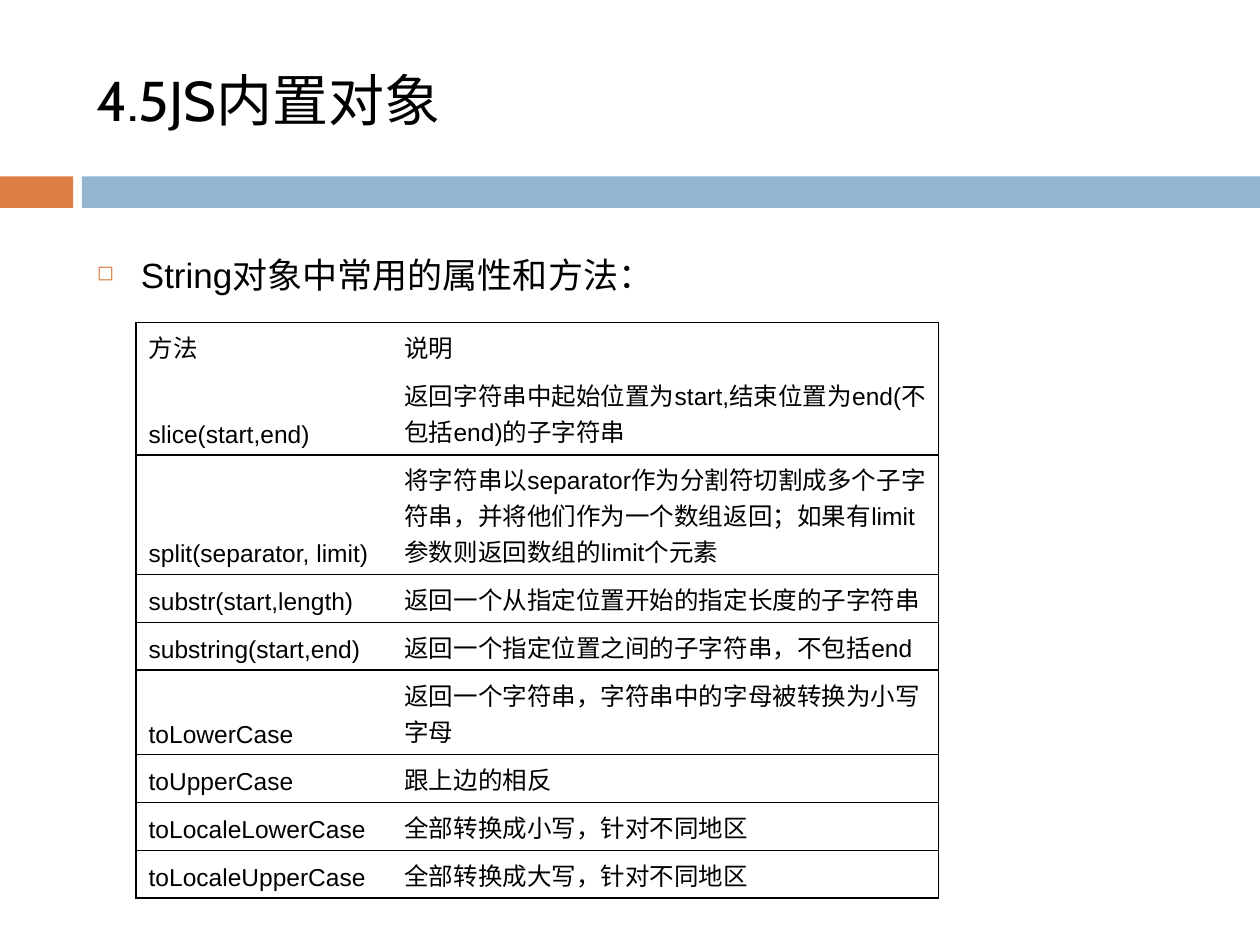
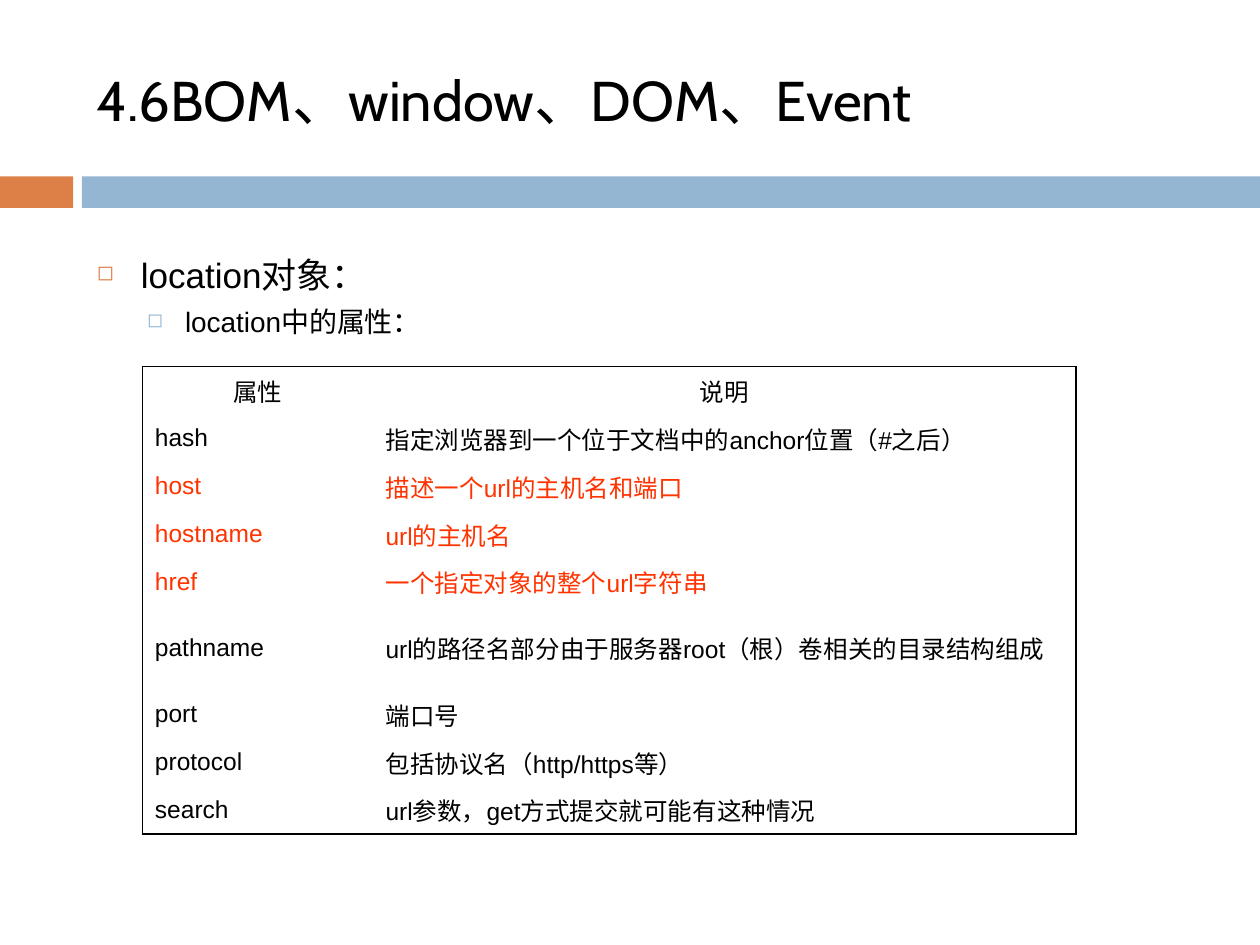
from lxml.etree import SubElement
from pptx import Presentation
from pptx.dml.color import RGBColor
from pptx.enum.shapes import MSO_SHAPE as Shape
from pptx.enum.text import MSO_ANCHOR as Anchor, PP_ALIGN as Align
from pptx.oxml.ns import qn
from pptx.util import Inches, Pt

BLACK = RGBColor(0x00, 0x00, 0x00)
WHITE = RGBColor(0xFF, 0xFF, 0xFF)
ORANGE = RGBColor(0xDD, 0x80, 0x47)
BLUE = RGBColor(0x94, 0xB6, 0xD2)
RED = RGBColor(0xFF, 0x33, 0x00)

TITLE = {"name": "Cabin", "size": Pt(32)}
CELL = {"name": "Arial", "size": Pt(14)}
# One entry per outline level: font, bullet and indents
LEVELS = [
    {"font": {"name": "Arial", "size": Pt(20)}, "before": 0,
     "bullet": ORANGE, "percent": 60, "left": 0.35, "hanging": 0.35},
    {"font": {"name": "Arial", "size": Pt(16)}, "before": 5.5,
     "bullet": BLUE, "percent": 70, "left": 0.7, "hanging": 0.3},
]
BANDS = [(0, 0.58, ORANGE), (0.65, 9.35, BLUE)]
NO_STYLE = "{2D5ABB26-0587-4C30-8999-92F81FD0307C}"
# Row heights for one, two and three lines of text
ONE, TWO, THREE = 0.38, 0.67, 0.95

METHODS = [
    ("方法", "说明"),
    ("slice(start,end)", "返回字符串中起始位置为start,结束位置为end(不包括end)的子字符串"),
    ("split(separator, limit)",
     "将字符串以separator作为分割符切割成多个子字符串，并将他们作为一个数组返回；"
     "如果有limit参数则返回数组的limit个元素"),
    ("substr(start,length)", "返回一个从指定位置开始的指定长度的子字符串"),
    ("substring(start,end)", "返回一个指定位置之间的子字符串，不包括end"),
    ("toLowerCase", "返回一个字符串，字符串中的字母被转换为小写字母"),
    ("toUpperCase", "跟上边的相反"),
    ("toLocaleLowerCase", "全部转换成小写，针对不同地区"),
    ("toLocaleUpperCase", "全部转换成大写，针对不同地区"),
]
PROPERTIES = [
    ("属性", "说明"),
    ("hash", "指定浏览器到一个位于文档中的anchor位置（#之后）"),
    ("host", "描述一个url的主机名和端口"),
    ("hostname", "url的主机名"),
    ("href", "一个指定对象的整个url字符串"),
    ("pathname", "url的路径名部分由于服务器root（根）卷相关的目录结构组成"),
    ("port", "端口号"),
    ("protocol", "包括协议名（http/https等）"),
    ("search", "url参数，get方式提交就可能有这种情况"),
]

SLIDES = [
    {"title": "4.5JS内置对象",
     "outline": ["String对象中常用的属性和方法："], "outline_height": 4.99,
     "rows": METHODS, "at": (1.08, 2.56), "columns": (2.03, 4.34),
     "heights": [ONE, TWO, THREE, ONE, ONE, TWO, ONE, ONE, ONE],
     "table_height": 4.59,
     "anchor": Anchor.BOTTOM, "header_align": Align.LEFT,
     "fill": WHITE, "ruled": True, "red": ()},
    {"title": "4.6BOM、window、DOM、Event",
     "outline": ["location对象：", "location中的属性："], "outline_height": 5.31,
     "rows": PROPERTIES, "at": (1.13, 2.91), "columns": (1.83, 5.58),
     "heights": [ONE] * 5 + [TWO] + [ONE] * 3,
     "table_height": 3.74,
     "anchor": Anchor.MIDDLE, "header_align": Align.CENTER,
     "fill": None, "ruled": False, "red": ("host", "hostname", "href")},
]


def write(paragraph, text, font_values, color=BLACK):
    run = paragraph.add_run()
    run.text = text
    for attribute, value in font_values.items():
        setattr(run.font, attribute, value)
    run.font.color.rgb = color


def add_border(cell, side):
    line = SubElement(cell._tc.get_or_add_tcPr(), qn(f"a:ln{side}"), w=str(Pt(1)))
    fill = SubElement(line, qn("a:solidFill"))
    SubElement(fill, qn("a:srgbClr"), val=str(BLACK))


prs = Presentation()
prs.slide_width, prs.slide_height = Inches(10), Inches(7.5)

for content in SLIDES:
    slide = prs.slides.add_slide(prs.slide_layouts[6])

    # Bands under the title
    for left, width, color in BANDS:
        band = slide.shapes.add_shape(
            Shape.RECTANGLE, Inches(left), Inches(1.4), Inches(width), Inches(0.25))
        band.shadow.inherit = False
        band.fill.solid()
        band.fill.fore_color.rgb = color
        band.line.fill.background()

    # Title
    title = slide.shapes.add_textbox(
        Inches(0.67), Inches(0.25), Inches(8.92), Inches(1.08)).text_frame
    title.word_wrap = True
    title.vertical_anchor = Anchor.MIDDLE
    write(title.paragraphs[0], content["title"], TITLE)

    # Bulleted outline, one level deeper per line
    outline = slide.shapes.add_textbox(
        Inches(0.67), Inches(1.96), Inches(8.92),
        Inches(content["outline_height"])).text_frame
    outline.word_wrap = True
    for depth, (text, level) in enumerate(zip(content["outline"], LEVELS)):
        item = outline.add_paragraph() if depth else outline.paragraphs[0]
        item.level = depth
        item.space_before = Pt(level["before"])
        props = item._p.get_or_add_pPr()
        props.set("marL", str(Inches(level["left"])))
        props.set("indent", str(-Inches(level["hanging"])))
        bullet_color = SubElement(props, qn("a:buClr"))
        SubElement(bullet_color, qn("a:srgbClr"), val=str(level["bullet"]))
        SubElement(props, qn("a:buSzPct"), val=str(level["percent"] * 1000))
        SubElement(props, qn("a:buChar"), char="◻")
        write(item, text, level["font"])

    # Reference table
    rows, columns = content["rows"], content["columns"]
    left, top = content["at"]
    frame = slide.shapes.add_table(
        len(rows), len(columns), Inches(left), Inches(top),
        Inches(sum(columns)), Inches(content["table_height"]))
    table = frame.table
    table.first_row = table.horz_banding = False
    table._tbl.tblPr.find(qn("a:tableStyleId")).text = NO_STYLE
    for column, width in zip(table.columns, columns):
        column.width = Inches(width)

    last = len(rows) - 1
    for r, (row, height) in enumerate(zip(rows, content["heights"])):
        table.rows[r].height = Inches(height)
        color = RED if row[0] in content["red"] else BLACK
        for c, text in enumerate(row):
            cell = table.cell(r, c)
            cell.vertical_anchor = content["anchor"]
            paragraph = cell.text_frame.paragraphs[0]
            paragraph.alignment = Align.LEFT if r else content["header_align"]
            write(paragraph, text, CELL, color)

            # Outer frame, plus rules between the body rows of a ruled table
            add_border(cell, "R" if c else "L")
            if r == 0 or (content["ruled"] and r > 1):
                add_border(cell, "T")
            if r == last or (content["ruled"] and r > 0):
                add_border(cell, "B")
            if content["fill"] is None:
                cell.fill.background()
            else:
                cell.fill.solid()
                cell.fill.fore_color.rgb = content["fill"]
    # Setting row heights resizes the frame, so fix its height last
    frame.height = Inches(content["table_height"])

prs.save("out.pptx")
